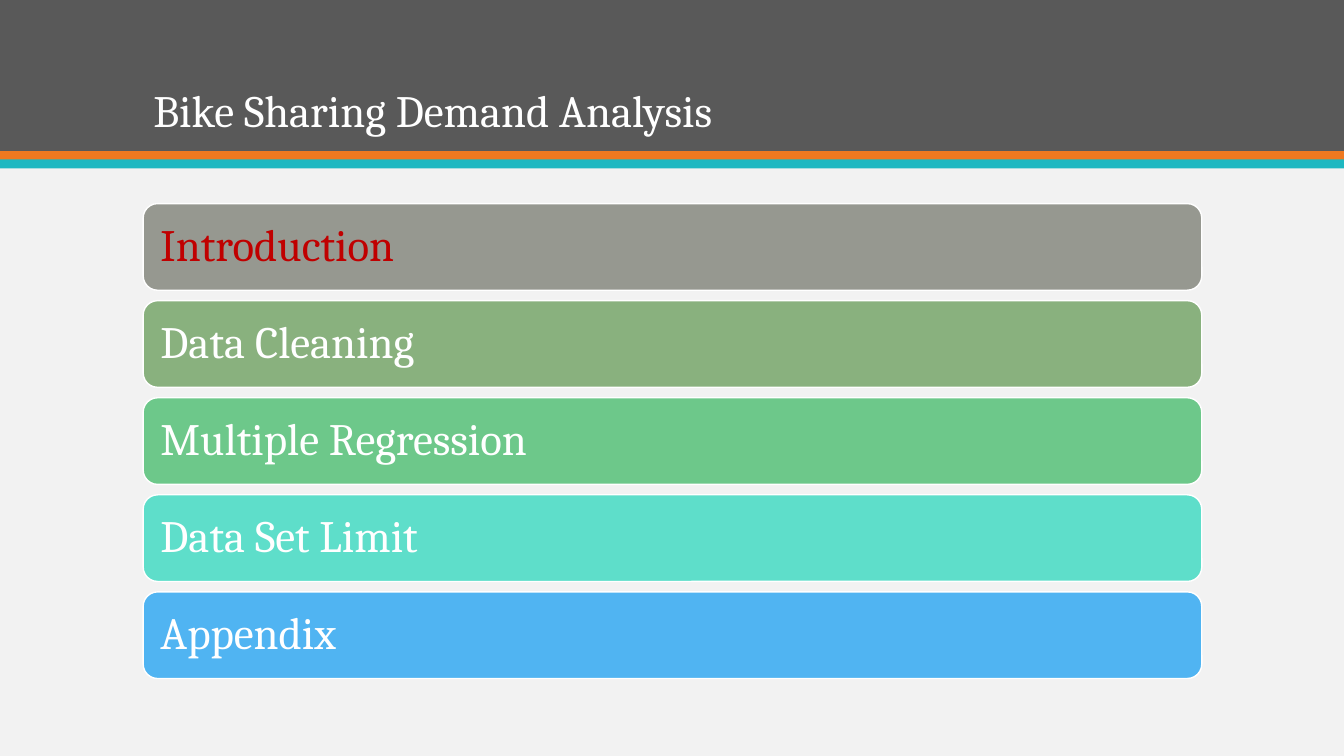
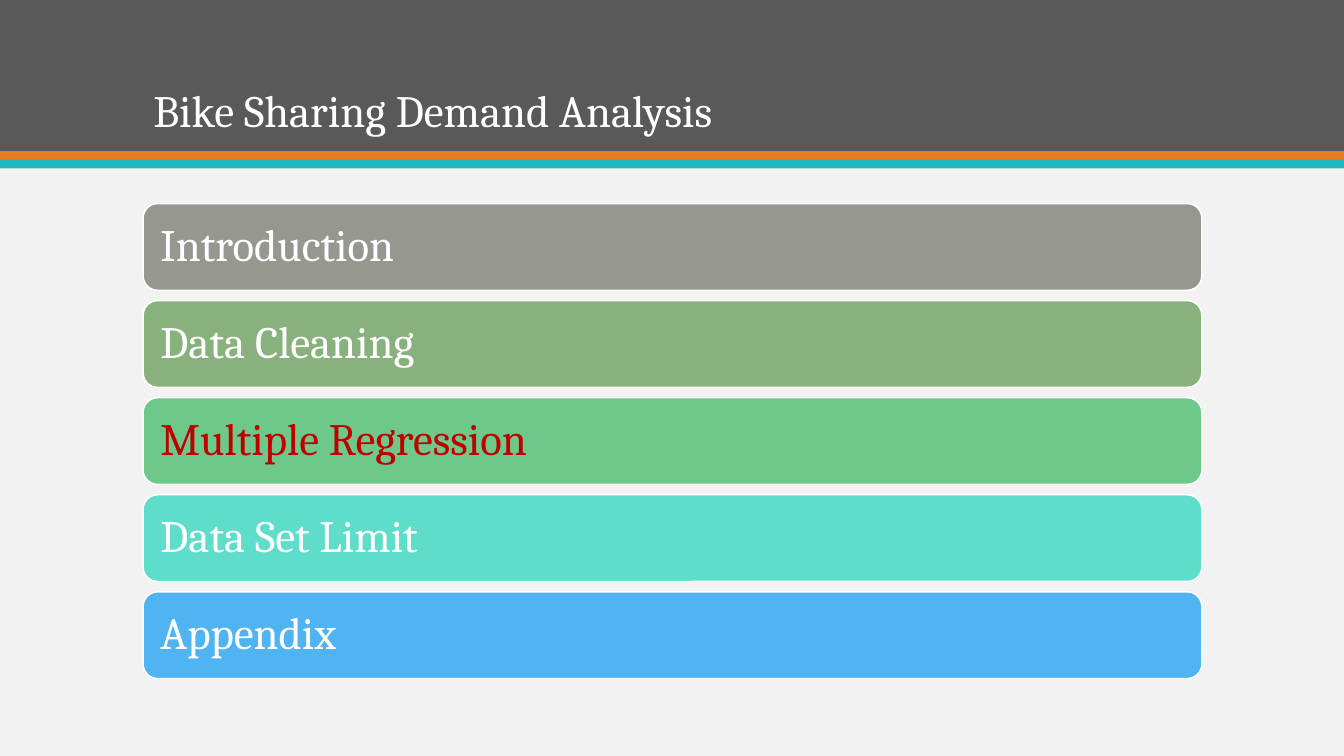
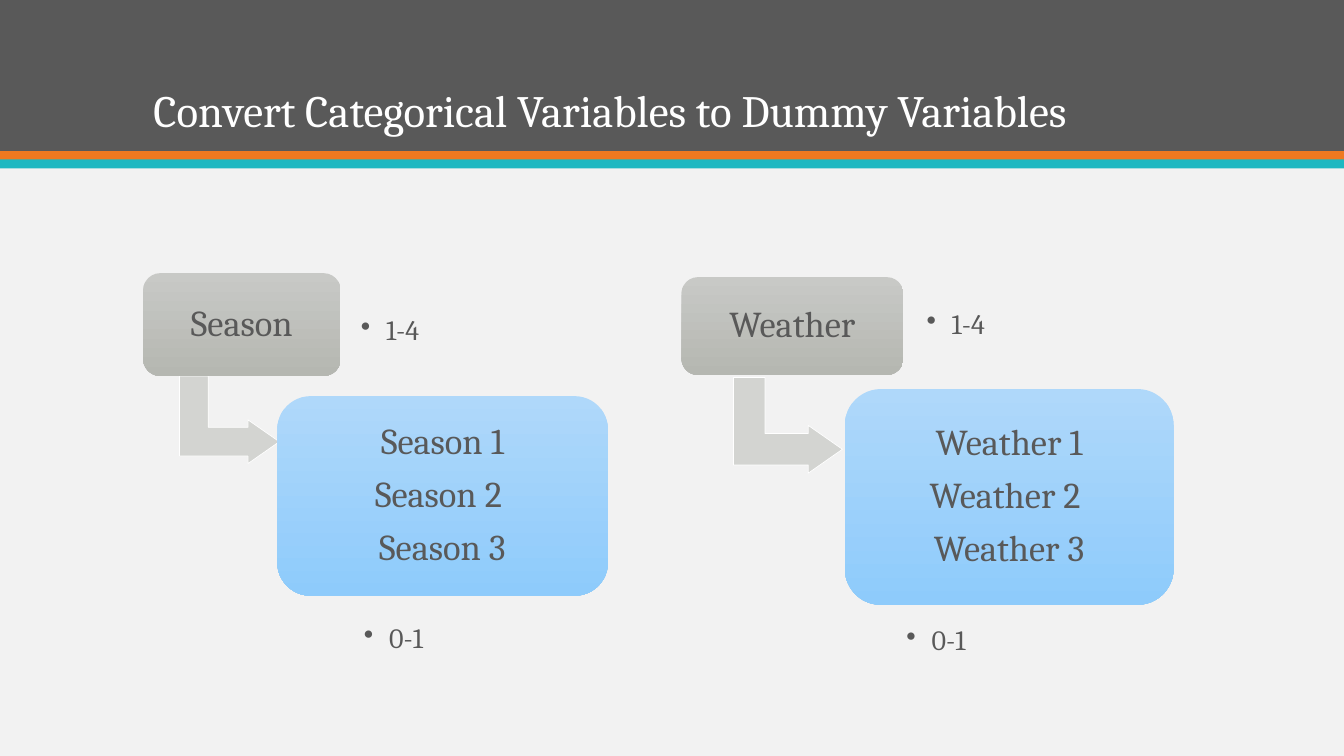
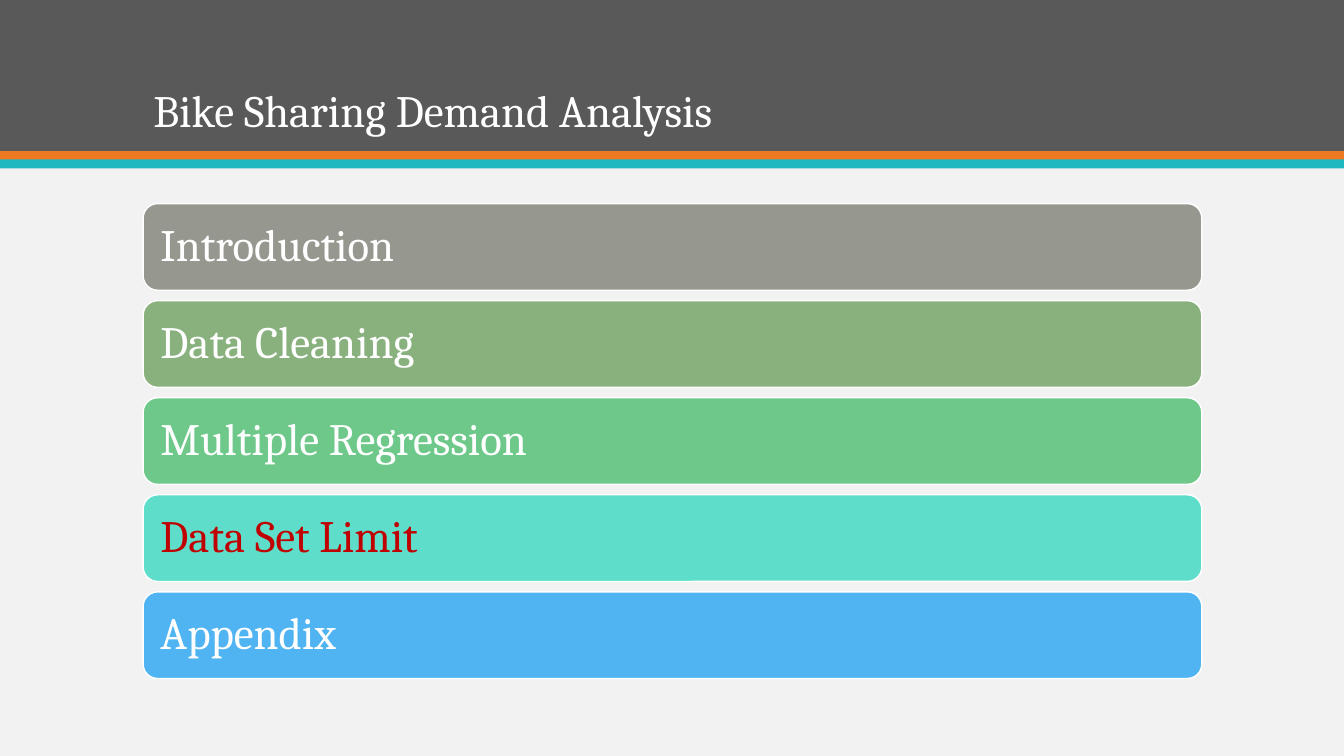
from dataclasses import dataclass

from lxml import etree
from pptx import Presentation
from pptx.dml.color import RGBColor
from pptx.enum.shapes import MSO_SHAPE as Shape
from pptx.enum.text import MSO_ANCHOR as Anchor, PP_ALIGN as Align
from pptx.oxml.ns import qn
from pptx.util import Inches, Pt

COLORS = {
    "background": "F2F2F2", "header": "595959", "orange": "EF7920", "teal": "1EB8C1",
    "white": "FFFFFF", "text": "595959", "current": "C00000", "arrow": "D3D4D1",
    "gray_top": "C8C9C6", "gray_bottom": "B5B7B1",
    "blue_top": "AFD8FA", "blue_bottom": "8ECBFB",
}
FONT = "Cambria"
SLIDE_W, SLIDE_H = 13.33, 7.5
LEFT, CONTENT_W = 1.42, 10.5
AGENDA_TOP, AGENDA_H, AGENDA_STEP = 2.02, 0.86, 0.963
ARROW_ADJUSTMENTS = (0.328, 0.25, 0.358)

Box = tuple[float, float, float, float]


@dataclass(frozen=True)
class Band:
    top: float
    height: float
    color: str


@dataclass(frozen=True)
class Section:
    name: str
    fill: str


@dataclass(frozen=True)
class Bullet:
    text: str
    box: Box
    inset: float = 0.08


@dataclass(frozen=True)
class Flow:
    variable: str
    source: Box
    arrow: Box
    target: Box
    dummies: tuple[str, ...]
    bullets: tuple[Bullet, ...]


BANDS = (Band(0, 1.5, "header"), Band(1.5, 0.09, "orange"), Band(1.58, 0.09, "teal"))

SECTIONS = (
    Section("Introduction", "969890"),
    Section("Data Cleaning", "89B17E"),
    Section("Multiple Regression", "6DC88A"),
    Section("Data Set Limit", "5EDECA"),
    Section("Appendix", "50B4F2"),
)

FLOWS = (
    Flow("Season", (1.42, 2.71, 1.96, 1.02), (1.84, 3.67, 0.87, 0.99),
         (2.75, 3.93, 3.28, 1.98), ("Season 1", "Season 2 ", "Season 3"),
         (Bullet("1-4", (3.47, 2.88, 1.06, 0.82), 0.11),
          Bullet("0-1", (3.53, 5.93, 1.06, 0.82)))),
    Flow("Weather", (6.76, 2.75, 2.2, 0.97), (7.34, 3.68, 0.95, 1.08),
         (8.38, 3.86, 3.26, 2.14), ("Weather 1", "Weather 2 ", "Weather 3"),
         (Bullet("1-4", (9.11, 2.78, 1.16, 0.9)),
          Bullet("0-1", (8.91, 5.91, 1.16, 0.9)))),
)


def rgb(color: str) -> RGBColor:
    return RGBColor.from_string(COLORS.get(color, color))


def apply(target, formats: dict) -> None:
    for name, value in formats.items():
        setattr(target, name, value)


def write(tf, lines: tuple[str, ...], size: float, color: str,
          align=Align.LEFT, gap: float = 0) -> None:
    """Fill a text frame, one paragraph per line, with spacing between them."""
    for i, line in enumerate(lines):
        p = tf.paragraphs[0] if i == 0 else tf.add_paragraph()
        apply(p, {"alignment": align, "line_spacing": 0.9,
                  "space_before": Pt(0), "space_after": Pt(gap)})
        r = p.add_run()
        r.text = line
        apply(r.font, {"name": FONT, "size": Pt(size)})
        r.font.color.rgb = rgb(color)


def set_frame(tf, inset: float) -> None:
    margins = {f"margin_{side}": Inches(inset) for side in ("left", "top", "right", "bottom")}
    apply(tf, {"word_wrap": True, "vertical_anchor": Anchor.MIDDLE, **margins})


def add_shape(slide, kind, box: Box, fill: tuple[str, ...],
              line: str | None = None, line_width: float = 1):
    """Draw a preset shape; two fill colours make a top-to-bottom gradient."""
    sp = slide.shapes.add_shape(kind, *map(Inches, box))
    sp.shadow.inherit = False
    if len(fill) == 2:
        sp.fill.gradient()
        sp.fill.gradient_angle = 270
        for stop, color in zip(sp.fill.gradient_stops, fill):
            stop.color.rgb = rgb(color)
    else:
        sp.fill.solid()
        sp.fill.fore_color.rgb = rgb(fill[0])
    if line:
        sp.line.color.rgb = rgb(line)
        sp.line.width = Pt(line_width)
    else:
        sp.line.fill.background()
    return sp


def set_up_layout(prs, layout) -> None:
    """Put the background, bands and title place on the shared layout."""
    bg = prs.slide_master.background.fill
    bg.solid()
    bg.fore_color.rgb = rgb("background")
    # Bands are drawn on the first slide, then moved behind the layout title
    slide = prs.slides.add_slide(layout)
    for i, band in enumerate(BANDS):
        sp = add_shape(slide, Shape.RECTANGLE,
                       (0, band.top, SLIDE_W, band.height), (band.color,))
        layout.shapes.element.insert(2 + i, sp.element)


def add_title(slide, text: str) -> None:
    title = slide.shapes.title
    apply(title, {"left": Inches(LEFT), "top": Inches(0.28),
                  "width": Inches(CONTENT_W), "height": Inches(1.13)})
    title.text_frame.vertical_anchor = Anchor.BOTTOM
    write(title.text_frame, (text,), 32, "white")


def add_agenda(slide, current: str) -> None:
    add_title(slide, "Bike Sharing Demand Analysis")
    for i, section in enumerate(SECTIONS):
        box = (LEFT, AGENDA_TOP + i * AGENDA_STEP, CONTENT_W, AGENDA_H)
        sp = add_shape(slide, Shape.ROUNDED_RECTANGLE, box, (section.fill,), "white")
        set_frame(sp.text_frame, 0.13)
        color = "current" if section.name == current else "white"
        write(sp.text_frame, (section.name,), 32, color)


def add_bullet(slide, bullet: Bullet) -> None:
    sp = slide.shapes.add_textbox(*map(Inches, bullet.box))
    set_frame(sp.text_frame, bullet.inset)
    write(sp.text_frame, (bullet.text,), 20, "text")
    pPr = sp.text_frame.paragraphs[0].runs[0].font._element.getparent().getparent().find(qn("a:pPr"))
    pPr.set("marL", str(Inches(0.25)))
    pPr.set("indent", str(Inches(-0.25)))
    etree.SubElement(pPr, qn("a:buChar"), char="•")


def add_flow(slide, flow: Flow) -> None:
    arrow = add_shape(slide, Shape.BENT_UP_ARROW, flow.arrow, ("arrow",), "white", 0.5)
    arrow.rotation = 90
    for i, value in enumerate(ARROW_ADJUSTMENTS):
        arrow.adjustments[i] = value
    for box, tone, lines in ((flow.source, "gray", (flow.variable,)),
                             (flow.target, "blue", flow.dummies)):
        sp = add_shape(slide, Shape.ROUNDED_RECTANGLE, box, (f"{tone}_top", f"{tone}_bottom"))
        set_frame(sp.text_frame, 0.11)
        write(sp.text_frame, lines, 26, "text", Align.CENTER, 9.6)
    for bullet in flow.bullets:
        add_bullet(slide, bullet)


def main() -> None:
    prs = Presentation()
    prs.slide_width, prs.slide_height = Inches(SLIDE_W), Inches(SLIDE_H)
    layout = prs.slide_layouts.get_by_name("Title Only")
    set_up_layout(prs, layout)

    # Agenda slides frame the slide on dummy variables
    add_agenda(prs.slides[0], "Introduction")
    add_agenda(prs.slides.add_slide(layout), "Multiple Regression")

    slide = prs.slides.add_slide(layout)
    add_title(slide, "Convert Categorical Variables to Dummy Variables")
    for flow in FLOWS:
        add_flow(slide, flow)

    add_agenda(prs.slides.add_slide(layout), "Data Set Limit")
    prs.save("out.pptx")


if __name__ == "__main__":
    main()
